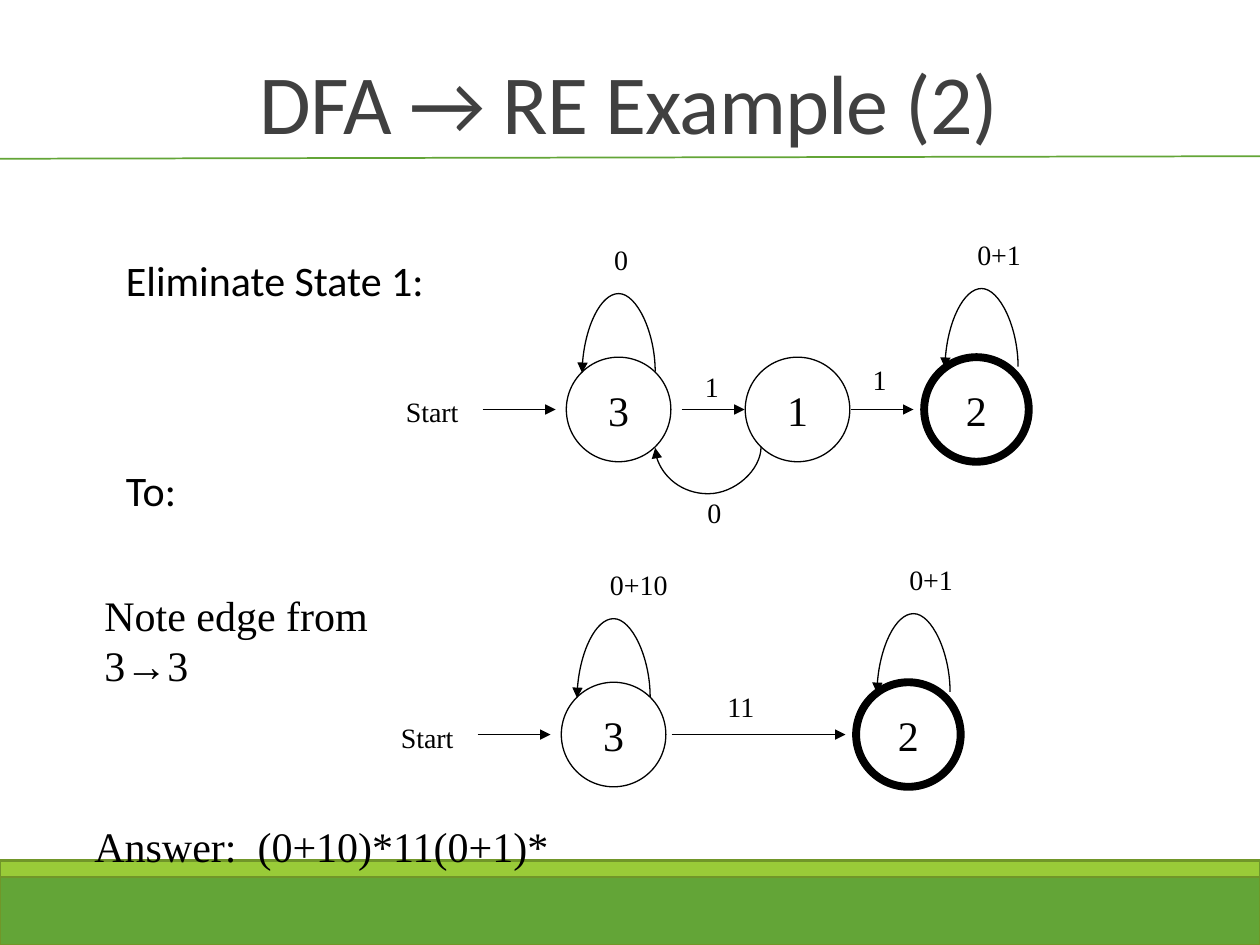
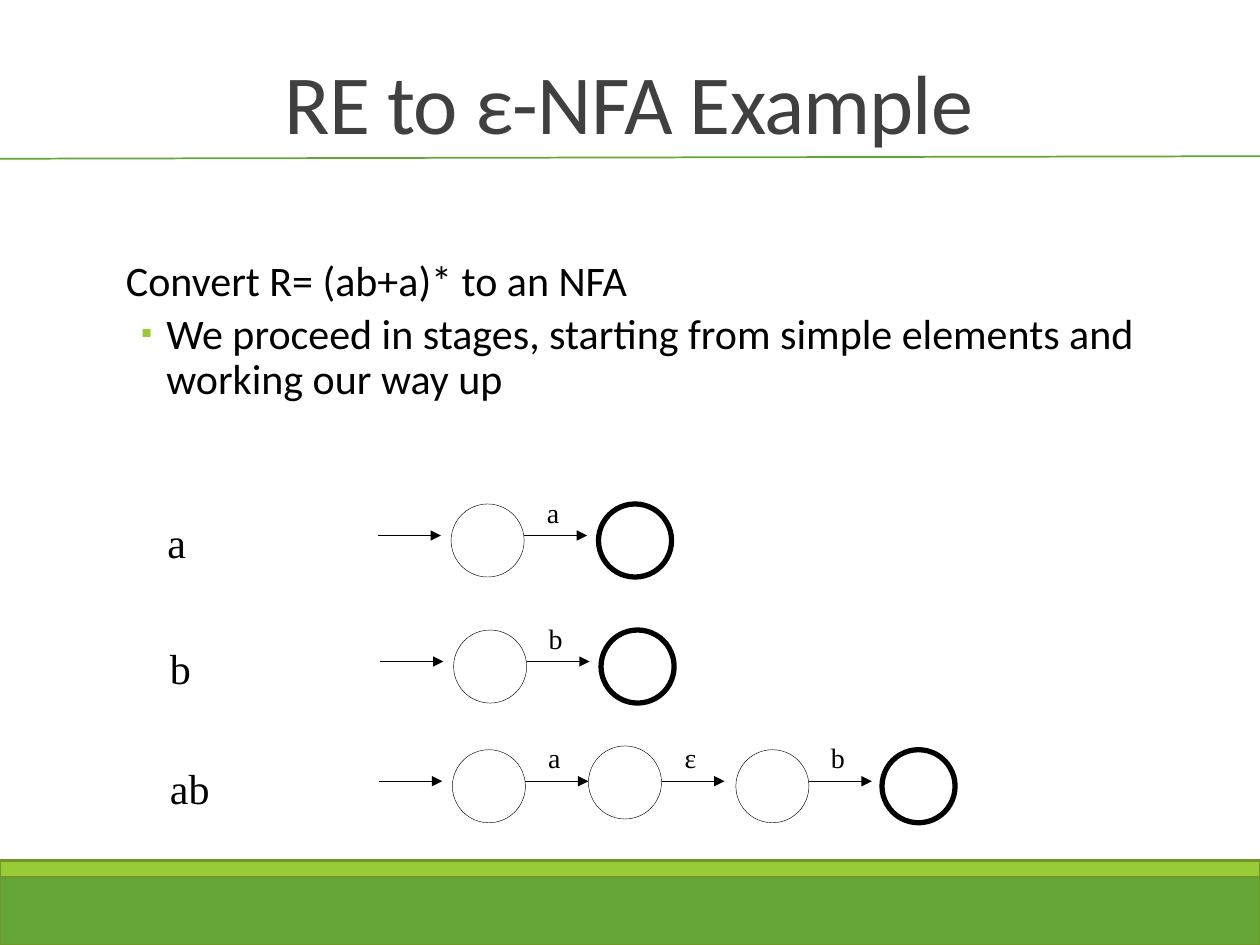
from lxml.etree import SubElement
from pptx import Presentation
from pptx.dml.color import RGBColor
from pptx.enum.shapes import MSO_CONNECTOR as Link, MSO_SHAPE as Shape
from pptx.enum.text import MSO_ANCHOR as Anchor, PP_ALIGN as Align
from pptx.oxml.ns import qn
from pptx.util import Inches, Pt

WIDTH, HEIGHT = 10, 7.5
COLORS = {"green": "63A537", "lime": "99CB38", "edge": "719629",
          "title": "404040", "ink": "000000"}
SANS, SERIF = "Calibri", "Times New Roman"

# Body paragraphs: text, is bulleted, points before, points after
ELIMINATION = {
    "title": "DFA → RE Example (2)",
    "body": [("Eliminate State 1:", False, 0, 2), ("To:", False, 92, 2)],
    "notes": [("Note edge from 3→3", 0.73, 4.63, 3.03),
              ("Answer:  (0+10)*11(0+1)*", 0.65, 6.46, 3.82)],
}
# Machines: height of the middle line;
# states: name, centre, accepting, loop label, loop shift, label shift;
# arrows: from, to, label, label centre, label rise
MACHINES = [
    {"middle": 3.25,
     "states": [("3", 4.91, False, "0", 0, 0.02),
                ("1", 6.33, False, None, 0, 0),
                ("2", 7.75, True, "0+1", 0.04, 0.18)],
     "arrows": [(3.83, 4.41, "Start", 3.43, 0.17),
                (5.41, 5.91, "1", 5.65, 0.37),
                (6.75, 7.25, "1", 6.98, 0.42)]},
    {"middle": 5.83,
     "states": [("3", 4.87, False, "0+10", 0, 0.2),
                ("2", 7.21, True, "0+1", 0.04, 0.18)],
     "arrows": [(3.79, 4.37, "Start", 3.39, 0.16),
                (5.33, 6.71, "11", 5.88, 0.41)]},
]
RETURN_ARC = {"label": "0", "right": 6.04, "left": 5.2, "top": 3.55, "drop": 0.38}

CONVERSION = {
    "title": "RE to ε-NFA Example",
    "body": [("Convert R= (ab+a)* to an NFA", False, 0, 2),
             ("We proceed in stages, starting from simple elements and "
              "working our way up", True, 2, 4)],
}
# Stages: expression, its left, arrow height, left of each state, edge labels
STAGES = [
    ("a", 1.23, 4.25, [3.58, 4.75], "a"),
    ("b", 1.25, 5.25, [3.6, 4.77], "b"),
    ("ab", 1.25, 6.2, [3.59, 4.67, 5.84, 7], "aεb"),
]
STATE, SMALL_STATE, SHORT_ARROW, LOOP_RISE = 0.83, 0.58, 0.5, 0.63


def color(name):
    return RGBColor.from_string(COLORS[name])


def style(para, size, face=SERIF, ink="ink"):
    para.font.size, para.font.name = Pt(size), face
    para.font.color.rgb = color(ink)


def add_preset(page, kind, left, top, width, height, fill, line, weight):
    box = page.shapes.add_shape(kind, *map(Inches, (left, top, width, height)))
    box.shadow.inherit = False
    if fill:
        box.fill.solid()
        box.fill.fore_color.rgb = color(fill)
    else:
        box.fill.background()
    box.line.color.rgb, box.line.width = color(line), Pt(weight)
    return box


def add_line(page, start, end, ink="ink", weight=0.75, arrow=True, kind=Link.STRAIGHT):
    line = page.shapes.add_connector(kind, *map(Inches, (*start, *end)))
    line.line.color.rgb, line.line.width = color(ink), Pt(weight)
    if arrow:
        SubElement(line.line._get_or_add_ln(), qn("a:tailEnd"), type="triangle")
    SubElement(line._element.spPr, qn("a:effectLst"))
    return line


def add_arc(page, right, left, level, bulge):
    """Curved arrow from right to left; a negative bulge rises, a positive one drops."""
    thin, span, centre = 0.01, right - left, (left + right) / 2
    arc = add_line(page, (centre - thin / 2, level - span / 2),
                   (centre + thin / 2, level + span / 2), kind=Link.CURVE)
    properties = arc._element.spPr
    properties.find(qn("a:xfrm")).set("rot", str(90 * 60000))
    guides = properties.find(qn("a:prstGeom")).find(qn("a:avLst"))
    SubElement(guides, qn("a:gd"), name="adj1",
               fmla=f"val {round(bulge / thin * 100000)}")


def add_text(page, text, left, top, width, size=24, wrap=False, align=Align.LEFT):
    box = page.shapes.add_textbox(*map(Inches, (left, top, width, size / 48)))
    box.text_frame.word_wrap = wrap
    para = box.text_frame.paragraphs[0]
    para.text, para.alignment = text, align
    style(para, size)


def add_label(page, text, centre, top):
    width = 0.25 + 0.13 * len(text)
    add_text(page, text, centre - width / 2, top, width, 16, align=Align.CENTER)


def add_state(page, left, top, size, weight, name=""):
    circle = add_preset(page, Shape.OVAL, left, top, size, size, None, "ink", weight)
    if name:
        frame = circle.text_frame
        frame.word_wrap, frame.vertical_anchor = False, Anchor.MIDDLE
        para = frame.paragraphs[0]
        para.text, para.alignment = name, Align.CENTER
        style(para, 24)


def add_body(page, lines):
    frame = page.shapes.add_textbox(*map(Inches, (0.9, 2.02, 8.3, 1.9))).text_frame
    frame.word_wrap = True
    frame.margin_left = frame.margin_right = 0
    for index, (text, bulleted, before, after) in enumerate(lines):
        para = frame.add_paragraph() if index else frame.paragraphs[0]
        para.text, para.line_spacing = text, 0.9
        para.space_before, para.space_after = Pt(before), Pt(after)
        style(para, 24, SANS)
        properties = para._p.get_or_add_pPr()
        properties.set("marL", str(Inches(0.42 if bulleted else 0.1)))
        if bulleted:
            properties.set("indent", str(Inches(-0.2)))
            tint = SubElement(properties, qn("a:buClr"))
            SubElement(tint, qn("a:srgbClr"), val=COLORS["lime"])
            SubElement(properties, qn("a:buSzPct"), val="75000")
            SubElement(properties, qn("a:buFont"), typeface=SANS)
            SubElement(properties, qn("a:buChar"), char="▪")


def add_page(deck, content):
    """Slide with the shared bands, title rule, title and body."""
    page = deck.slides.add_slide(deck.slide_layouts[5])
    for top, height, fill in ((6.92, 0.58, "green"), (6.83, 0.13, "lime")):
        add_preset(page, Shape.RECTANGLE, 0, top, WIDTH, height, fill, "edge", 1.25)
    add_line(page, (-0.03, 1.26), (WIDTH, 1.24), "green", 1, arrow=False)

    title = page.shapes.title
    title.left, title.top, title.width, title.height = map(Inches, (0.49, 0.25, 9, 1))
    title.text_frame.vertical_anchor = Anchor.BOTTOM
    para = title.text_frame.paragraphs[0]
    para.text, para.alignment, para.line_spacing = content["title"], Align.CENTER, 0.85
    style(para, 48, SANS, "title")
    para.runs[0]._r.get_or_add_rPr().set("spc", "-50")
    add_body(page, content["body"])
    return page


def add_machine(page, machine):
    middle = machine["middle"]
    top = middle - STATE / 2
    for name, centre, accepting, loop, loop_shift, label_shift in machine["states"]:
        add_state(page, centre - STATE / 2, top, STATE, 4.5 if accepting else 0.75, name)
        if loop:
            hub = centre + loop_shift
            lift = 0.04 if accepting else 0
            add_arc(page, hub + 0.29, hub - 0.29, top + 0.12 - lift, -LOOP_RISE)
            add_label(page, loop, centre + label_shift, top - 0.96 - lift)
    for start, end, label, centre, rise in machine["arrows"]:
        add_line(page, (start, middle), (end, middle))
        add_label(page, label, centre, middle - rise)


def add_stage(page, expression, left, level, states, edges):
    add_text(page, expression, left, level - 0.2, 0.2 + 0.16 * len(expression))
    first = states[0] - 0.58
    add_line(page, (first, level), (first + SHORT_ARROW, level))
    for index, state in enumerate(states):
        last = index == len(states) - 1
        lift = 0.03 if index == 1 and not last else 0
        add_state(page, state, level - 0.25 - lift, SMALL_STATE, 3 if last else 0.25)
        if not last:
            start = state + SMALL_STATE
            add_line(page, (start, level), (start + SHORT_ARROW, level))
            add_label(page, edges[index], start + 0.23, level - 0.37)


def main():
    deck = Presentation()
    deck.slide_width, deck.slide_height = Inches(WIDTH), Inches(HEIGHT)

    page = add_page(deck, ELIMINATION)
    for machine in MACHINES:
        add_machine(page, machine)
    arc = RETURN_ARC
    add_arc(page, arc["right"], arc["left"], arc["top"], arc["drop"])
    add_label(page, arc["label"], 5.67, 3.88)
    for text, left, top, width in ELIMINATION["notes"]:
        add_text(page, text, left, top, width, wrap=True)

    page = add_page(deck, CONVERSION)
    for stage in STAGES:
        add_stage(page, *stage)
    deck.save("out.pptx")


if __name__ == "__main__":
    main()
